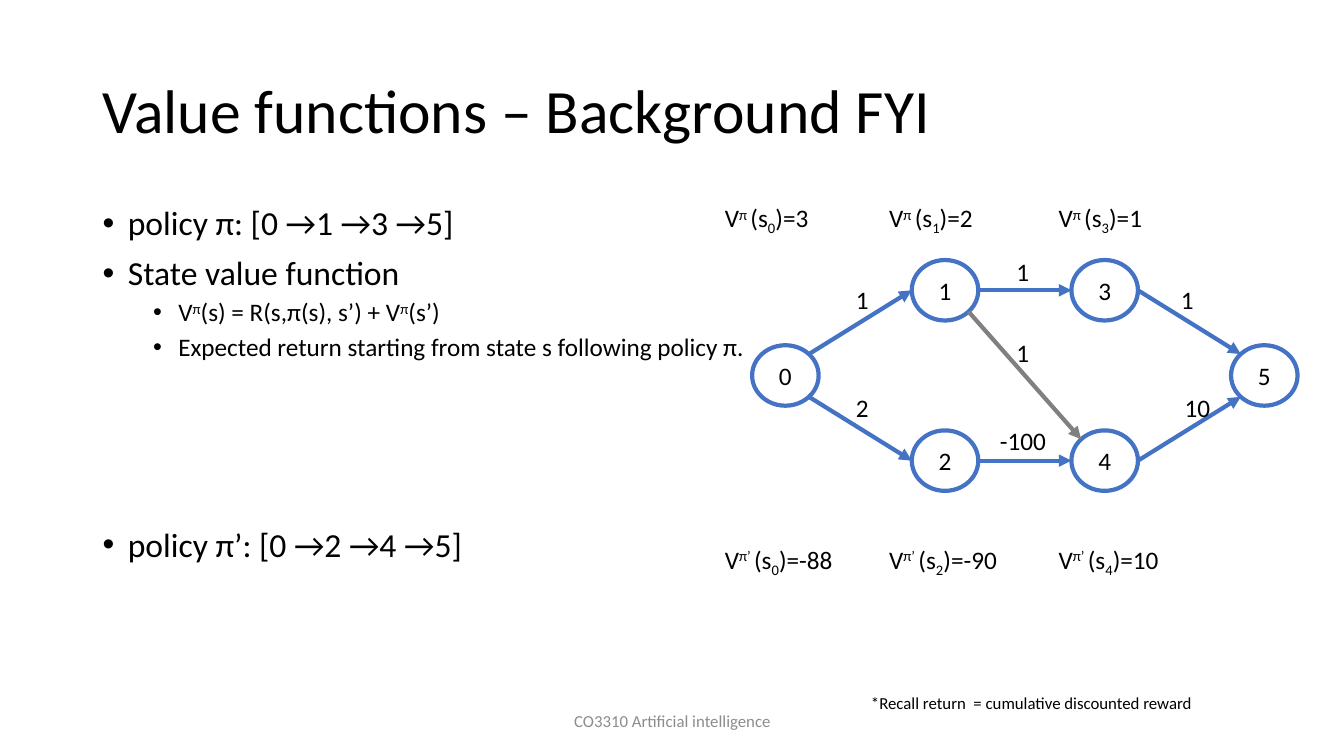
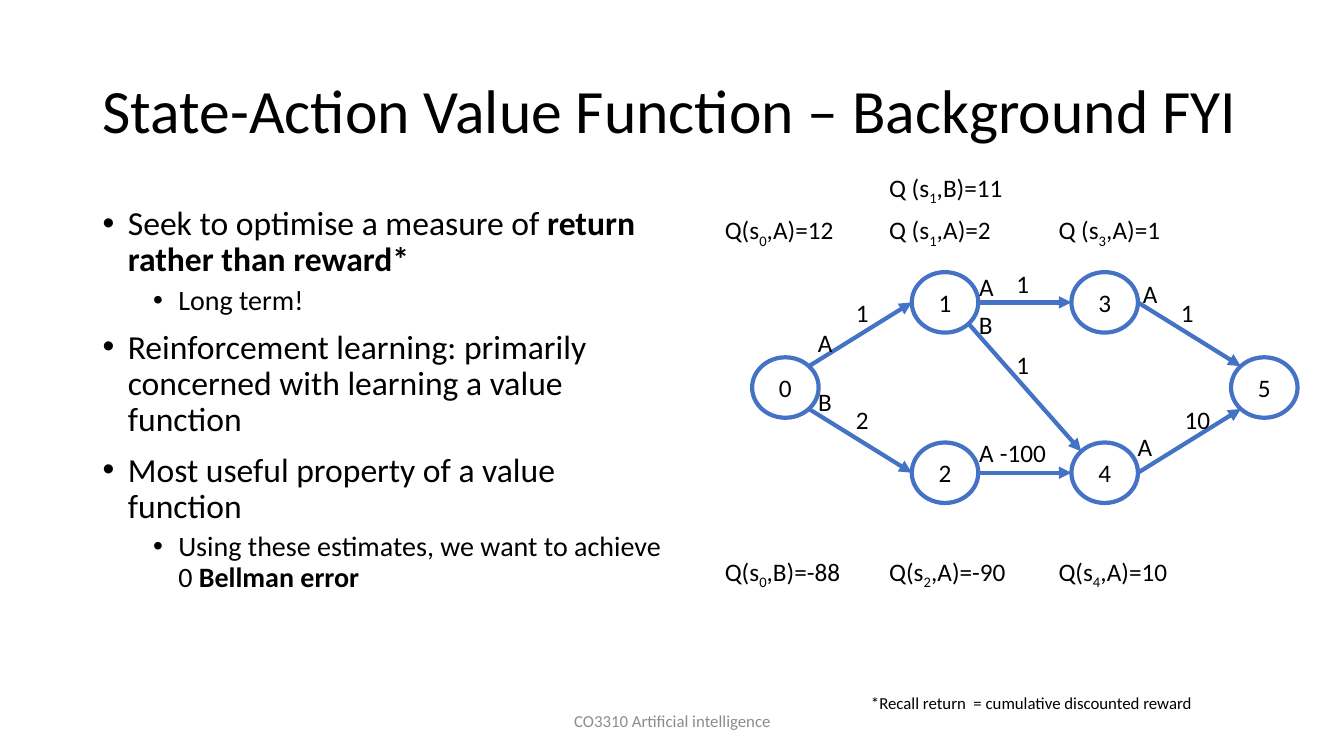
from dataclasses import dataclass

from lxml import etree
from pptx import Presentation
from pptx.dml.color import RGBColor
from pptx.enum import shapes, text
from pptx.oxml.ns import qn
from pptx.util import Inches, Pt


@dataclass(frozen=True)
class Theme:
    font: str = "Calibri"
    ink: str = "000000"
    blue: str = "4472C4"
    gray: str = "808080"
    footer_ink: str = "8C8C8C"
    title: int = 44
    body: int = 24
    detail: int = 20
    label: int = 18
    small: int = 12
    line: int = 3


THEME = Theme()
CENTER = text.PP_ALIGN.CENTER
MIDDLE = text.MSO_ANCHOR.MIDDLE

NODE_W, NODE_H = 0.66, 0.6
COLUMN_STEP, ROW_STEP = 4.75 / 3, 1.69 / 2
# Column and row of each state in the graph
STATES = {0: (0, 1), 1: (1, 0), 2: (1, 2), 3: (2, 0), 4: (2, 2), 5: (3, 1)}
# Connection sites of an ellipse: index and direction from its centre
DIAGONAL = 0.5 ** 0.5
SITES = {
    "top left": (1, -DIAGONAL, -DIAGONAL),
    "left": (2, -1, 0),
    "bottom right": (5, DIAGONAL, DIAGONAL),
    "right": (6, 1, 0),
    "top right": (7, DIAGONAL, -DIAGONAL),
    "bottom left": (3, -DIAGONAL, DIAGONAL),
}
# (start, end): start site, end site, reward, offset of reward from the midpoint
EDGES = {
    (0, 1): ("top right", "left", "1", (0.02, -0.22)),
    (0, 2): ("bottom right", "left", "2", (0.02, -0.21)),
    (1, 3): ("right", "left", "1", (-0.02, -0.19)),
    (2, 4): ("right", "left", "-100", (-0.02, -0.2)),
    (4, 5): ("right", "bottom left", "10", (0.08, -0.21)),
    (3, 5): ("right", "top left", "1", (-0.02, -0.22)),
    (1, 4): ("bottom right", "top left", "1", (-0.02, -0.23)),
}
# (start, end): action name, offset from the start of the edge
ACTIONS = {
    (0, 1): ("A", (0.16, -0.23)),
    (0, 2): ("B", (0.16, -0.07)),
    (1, 3): ("A", (0.08, -0.16)),
    (1, 4): ("B", (0.17, 0.01)),
    (2, 4): ("A", (0.08, -0.2)),
    (3, 5): ("A", (0.12, -0.09)),
    (4, 5): ("A", (0.07, -0.26)),
}
VALUE_COLUMNS = (0, 1.63, 3.31)
VALUE_ROWS = {"extra": -0.42, "upper": 0, "lower": 3.39}


def sup(words):
    return words, {"baseline": 30000}


def sub(words):
    return words, {"baseline": -25000}


def bold(words):
    return words, {"bold": True}


def write(paragraph, runs, size=THEME.label, color=THEME.ink, align=None):
    """Fill a paragraph from a string or a list of strings and (string, format) pairs."""
    if align is not None:
        paragraph.alignment = align
    for part in [runs] if isinstance(runs, str) else runs:
        words, style = (part, {}) if isinstance(part, str) else part
        run = paragraph.add_run()
        run.text = words
        run.font.name = THEME.font
        run.font.size = Pt(size)
        run.font.color.rgb = RGBColor.from_string(color)
        if style.get("bold"):
            run.font.bold = True
        if "baseline" in style:
            run._r.get_or_add_rPr().set("baseline", str(style["baseline"]))


def add_text(slide, box, runs, anchor=None, spacing=None, **style):
    frame = slide.shapes.add_textbox(*map(Inches, box)).text_frame
    frame.word_wrap = True
    if anchor is not None:
        frame.vertical_anchor = anchor
    paragraph = frame.paragraphs[0]
    if spacing:
        paragraph.line_spacing = spacing
    write(paragraph, runs, **style)


def add_centered(slide, center, words):
    width, height = 0.3 + 0.14 * len(words), 0.4
    box = (center[0] - width / 2, center[1] - height / 2, width, height)
    add_text(slide, box, words, align=CENTER)


def add_frame(prs, title):
    """Add a slide with the shared title, footer and footnote."""
    slide = prs.slides.add_slide(prs.slide_layouts[6])
    add_text(slide, (0.92, 0.4, 11.5, 1.45), title, anchor=MIDDLE, spacing=0.9,
             size=THEME.title)
    add_text(slide, (4.42, 6.95, 4.5, 0.4), "CO3310 Artificial intelligence",
             anchor=MIDDLE, size=THEME.small, color=THEME.footer_ink, align=CENTER)
    add_text(slide, (8.54, 6.82, 4.77, 0.3),
             "*Recall return  = cumulative discounted reward", size=THEME.small)
    return slide


def add_bullets(slide, box, items, detail_size):
    """Items are (level, runs) or (level, runs, points of space before)."""
    frame = slide.shapes.add_textbox(*map(Inches, box)).text_frame
    frame.word_wrap = True
    for index, (level, runs, *gap) in enumerate(items):
        paragraph = frame.add_paragraph() if index else frame.paragraphs[0]
        paragraph.level = level
        properties = paragraph._p.get_or_add_pPr()
        properties.set("marL", str(Inches(0.25 + 0.5 * level)))
        properties.set("indent", str(Inches(-0.25)))
        etree.SubElement(properties, qn("a:buFont"), typeface="Arial")
        etree.SubElement(properties, qn("a:buChar"), char="•")
        paragraph.line_spacing = 0.9
        if index:
            paragraph.space_before = Pt(gap[0] if gap else (10, 5)[level])
        write(paragraph, runs, size=detail_size if level else THEME.body)


def add_state(slide, name, center):
    box = (center[0] - NODE_W / 2, center[1] - NODE_H / 2, NODE_W, NODE_H)
    state = slide.shapes.add_shape(shapes.MSO_SHAPE.OVAL, *map(Inches, box))
    state.shadow.inherit = False
    state.fill.background()
    state.line.color.rgb = RGBColor.from_string(THEME.blue)
    state.line.width = Pt(THEME.line)
    state.text_frame.vertical_anchor = MIDDLE
    write(state.text_frame.paragraphs[0], name, align=CENTER)
    return state


def add_arrow(slide, start, end, color):
    arrow = slide.shapes.add_connector(
        shapes.MSO_CONNECTOR.STRAIGHT, *map(Inches, (*start, *end)))
    arrow.line.color.rgb = RGBColor.from_string(color)
    arrow.line.width = Pt(THEME.line)
    etree.SubElement(arrow.line._get_or_add_ln(), qn("a:tailEnd"), type="triangle")
    etree.SubElement(arrow._element.spPr, qn("a:effectLst"))
    return arrow


def glue(arrow, end, state, site):
    """Join an arrow end (stCxn or endCxn) to a connection site of an ellipse."""
    links = arrow._element.find(".//" + qn("p:cNvCxnSpPr"))
    etree.SubElement(links, qn("a:" + end), id=str(state.shape_id), idx=str(SITES[site][0]))


def site_point(center, site):
    _, across, down = SITES[site]
    return center[0] + across * NODE_W / 2, center[1] + down * NODE_H / 2


def shifted(point, offset):
    return point[0] + offset[0], point[1] + offset[1]


def add_graph(slide, left, top, values, actions=None, muted=()):
    """Draw the state graph; values are (row, column, runs) around it."""
    centers = {
        state: (left + 0.7 + column * COLUMN_STEP, top + 0.92 + row * ROW_STEP)
        for state, (column, row) in STATES.items()
    }
    states = {state: add_state(slide, str(state), center)
              for state, center in centers.items()}
    for edge, (start_site, end_site, reward, offset) in EDGES.items():
        start = site_point(centers[edge[0]], start_site)
        end = site_point(centers[edge[1]], end_site)
        arrow = add_arrow(slide, start, end,
                          THEME.gray if edge in muted else THEME.blue)
        glue(arrow, "stCxn", states[edge[0]], start_site)
        glue(arrow, "endCxn", states[edge[1]], end_site)
        middle = ((start[0] + end[0]) / 2, (start[1] + end[1]) / 2)
        add_centered(slide, shifted(middle, offset), reward)
        if actions:
            action, action_offset = actions[edge]
            add_centered(slide, shifted(start, action_offset), action)
    for row, column, runs in values:
        box = (left + VALUE_COLUMNS[column], top + VALUE_ROWS[row], 1.55, 0.4)
        add_text(slide, box, runs)


def state_value(policy, state, value):
    return ["V", sup(policy + " "), "(s", sub(state), ")=" + value]


def action_value(state, action, value, opening="Q(s"):
    return [opening, sub(state), f",{action})={value}"]


def value_functions(prs):
    slide = add_frame(prs, "Value functions – Background FYI")
    add_bullets(slide, (0.92, 2, 11.5, 4.76), [
        (0, "policy π: [0 →1 →3 →5]"),
        (0, "State value function"),
        (1, ["V", sup("π"), "(s) = R(s,π(s), s’) + V", sup("π"), "(s’)"]),
        (1, "Expected return starting from state s following policy π."),
        (0, "policy π’: [0 →2 →4 →5]", 119),
    ], THEME.label)
    add_graph(slide, 7.09, 1.96, [
        ("upper", 0, state_value("π", "0", "3")),
        ("upper", 1, state_value("π", "1", "2")),
        ("upper", 2, state_value("π", "3", "1")),
        ("lower", 0, state_value("π’", "0", "-88")),
        ("lower", 1, state_value("π’", "2", "-90")),
        ("lower", 2, state_value("π’", "4", "10")),
    ], muted=[(1, 4)])


def state_action_values(prs):
    slide = add_frame(prs, "State-Action Value Function – Background FYI")
    add_bullets(slide, (0.92, 2, 5.83, 4.76), [
        (0, ["Seek to optimise a measure of ", bold("return rather than reward*")]),
        (1, "Long term!"),
        (0, "Reinforcement learning: primarily concerned with learning a value function"),
        (0, "Most useful property of a value function"),
        (1, ["Using these estimates, we want to achieve 0 ", bold("Bellman error")]),
    ], THEME.detail)
    add_graph(slide, 7.09, 2.08, [
        ("extra", 1, action_value("1", "B", "11", "Q (s")),
        ("upper", 0, action_value("0", "A", "12")),
        ("upper", 1, action_value("1", "A", "2", "Q (s")),
        ("upper", 2, action_value("3", "A", "1", "Q (s")),
        ("lower", 0, action_value("0", "B", "-88")),
        ("lower", 1, action_value("2", "A", "-90")),
        ("lower", 2, action_value("4", "A", "10")),
    ], actions=ACTIONS)


def main():
    prs = Presentation()
    prs.slide_width, prs.slide_height = Inches(13.33), Inches(7.5)
    value_functions(prs)
    state_action_values(prs)
    prs.save("out.pptx")


if __name__ == "__main__":
    main()
